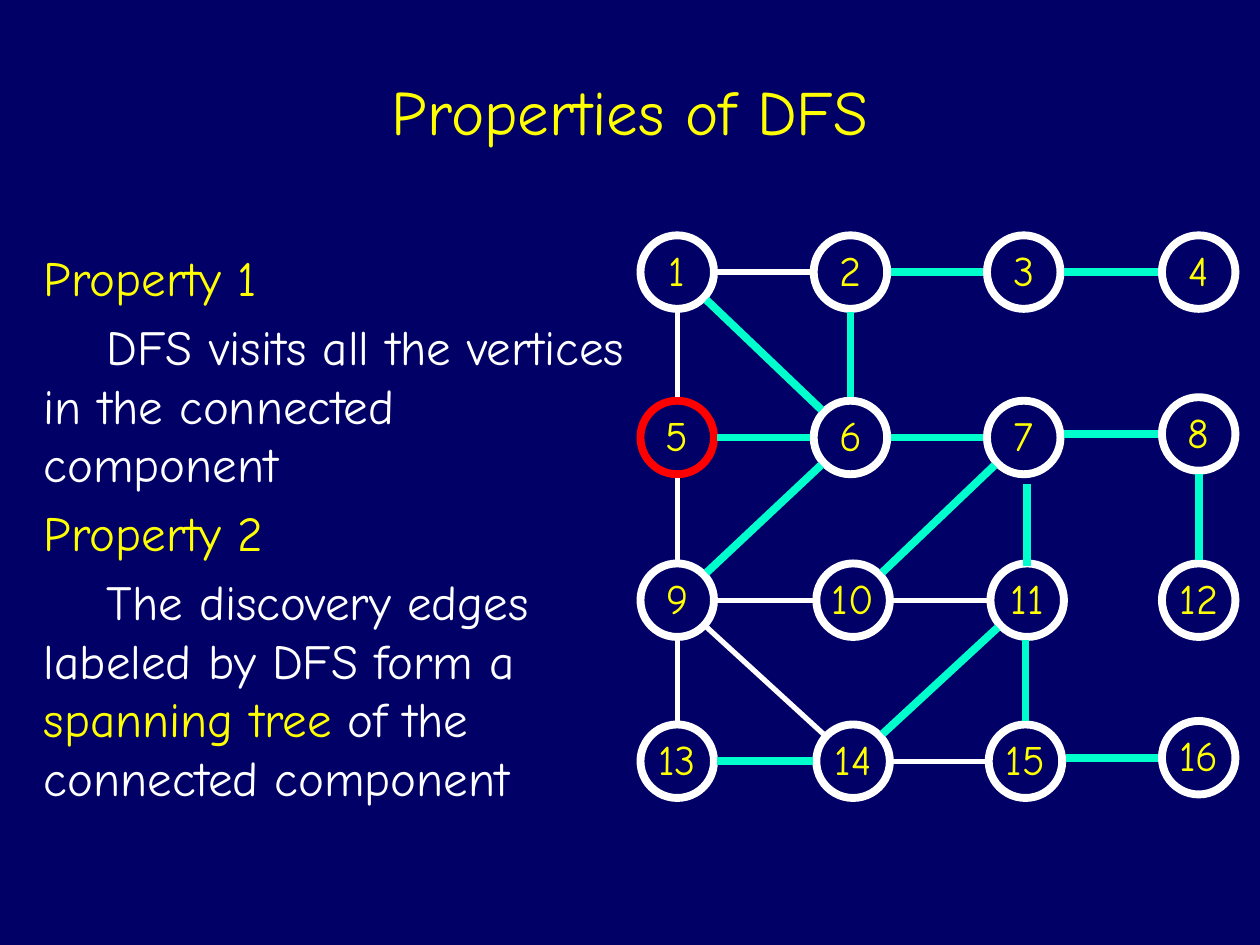
from math import hypot

from pptx import Presentation
from pptx.dml.color import RGBColor
from pptx.enum.shapes import MSO_CONNECTOR, MSO_SHAPE
from pptx.enum.text import MSO_ANCHOR, PP_ALIGN
from pptx.oxml.ns import qn
from pptx.util import Pt

NAVY = RGBColor(0x00, 0x00, 0x66)
YELLOW = RGBColor(0xFF, 0xFF, 0x00)
WHITE = RGBColor(0xFF, 0xFF, 0xFF)
RED = RGBColor(0xFF, 0x00, 0x00)
TEAL = RGBColor(0x00, 0xFF, 0xCC)
FONT = "Comic Neue"

deck = Presentation()
deck.slide_width, deck.slide_height = Pt(720), Pt(540)
slide = deck.slides.add_slide(deck.slide_layouts[6])
slide.background.fill.solid()
slide.background.fill.fore_color.rgb = NAVY


def add_text(paragraphs, left, top, width, height, size=28, align=PP_ALIGN.LEFT,
             anchor=MSO_ANCHOR.TOP, side_inset=7.2, before=0, spacing=1.0):
    """Each paragraph is a list of (text, colour) runs."""
    box = slide.shapes.add_textbox(Pt(left), Pt(top), Pt(width), Pt(height))
    frame = box.text_frame
    frame.word_wrap = True
    frame.vertical_anchor = anchor
    frame.margin_left = frame.margin_right = Pt(side_inset)
    for index, runs in enumerate(paragraphs):
        paragraph = frame.paragraphs[0] if index == 0 else frame.add_paragraph()
        paragraph.alignment = align
        paragraph.line_spacing = spacing
        paragraph.space_before = Pt(before if index else 0)
        for words, colour in runs:
            run = paragraph.add_run()
            run.text = words
            run.font.name = FONT
            run.font.size = Pt(size)
            run.font.color.rgb = colour


def add_edge(start, end, colour, weight):
    line = slide.shapes.add_connector(MSO_CONNECTOR.STRAIGHT,
                                      Pt(start[0]), Pt(start[1]), Pt(end[0]), Pt(end[1]))
    line.line.color.rgb = colour
    line.line.width = Pt(weight)
    properties = line._element.spPr
    properties.append(properties.makeelement(qn("a:effectLst"), {}))


add_text([[("Properties of DFS", YELLOW)]], 54, 18, 612, 90, size=36,
         align=PP_ALIGN.CENTER, anchor=MSO_ANCHOR.MIDDLE)
add_text([
    [("Property 1", YELLOW)],
    [("\tDFS visits all the vertices in the connected component", WHITE)],
    [("Property 2", YELLOW)],
    [("\tThe discovery edges labeled by DFS form a ", WHITE),
     ("spanning tree", YELLOW),
     (" of the connected component", WHITE)],
], 18, 138, 348, 324, before=5.6)

# Vertices 1 to 16 fill a 4 x 4 grid, row by row; a few sit slightly off it
RADIUS = 21
EDGE_GAP = 23  # from a vertex centre to the end of an edge
START_VERTEX = 5
column_centres = [387, 486, 585, 685]
row_centres = [155.5, 250, 343, 435]
shifts = {8: (0, -2), 10: (1.5, 0), 11: (2, 0), 14: (1.5, 0), 15: (1, 0), 16: (0, -2)}

centres = {}
for vertex in range(1, 17):
    row, column = divmod(vertex - 1, 4)
    dx, dy = shifts.get(vertex, (0, 0))
    centres[vertex] = (column_centres[column] + dx, row_centres[row] + dy)

for vertex, (x, y) in centres.items():
    circle = slide.shapes.add_shape(MSO_SHAPE.OVAL, Pt(x - RADIUS), Pt(y - RADIUS),
                                    Pt(2 * RADIUS), Pt(2 * RADIUS))
    circle.shadow.inherit = False
    circle.fill.background()
    circle.line.color.rgb = RED if vertex == START_VERTEX else WHITE
    circle.line.width = Pt(4.5)

other_edges = [(1, 2), (1, 5), (5, 9), (9, 13), (9, 10), (10, 11), (14, 15), (9, 14)]
discovery_edges = [(2, 3), (3, 4), (1, 6), (2, 6), (5, 6), (6, 7), (7, 8), (6, 9), (7, 10),
                   (7, 11), (8, 12), (11, 14), (11, 15), (13, 14), (15, 16)]
drops = {(7, 11): 3.5}

for edges, colour, weight in [(other_edges, WHITE, 3), (discovery_edges, TEAL, 4.5)]:
    for first, second in edges:
        (x1, y1), (x2, y2) = centres[first], centres[second]
        if (first - 1) // 4 == (second - 1) // 4:
            y1 = y2
        elif (second - first) % 4 == 0:
            x1 = x2
        length = hypot(x2 - x1, y2 - y1)
        gap_x, gap_y = EDGE_GAP * (x2 - x1) / length, EDGE_GAP * (y2 - y1) / length
        drop = drops.get((first, second), 0)
        add_edge((x1 + gap_x, y1 + gap_y + drop), (x2 - gap_x, y2 - gap_y + drop),
                 colour, weight)

for vertex, (x, y) in centres.items():
    add_text([[(str(vertex), YELLOW)]], x - 20, y - 16.25, 40, 33, size=24,
             align=PP_ALIGN.CENTER, side_inset=0, spacing=0.9)

deck.save("out.pptx")
